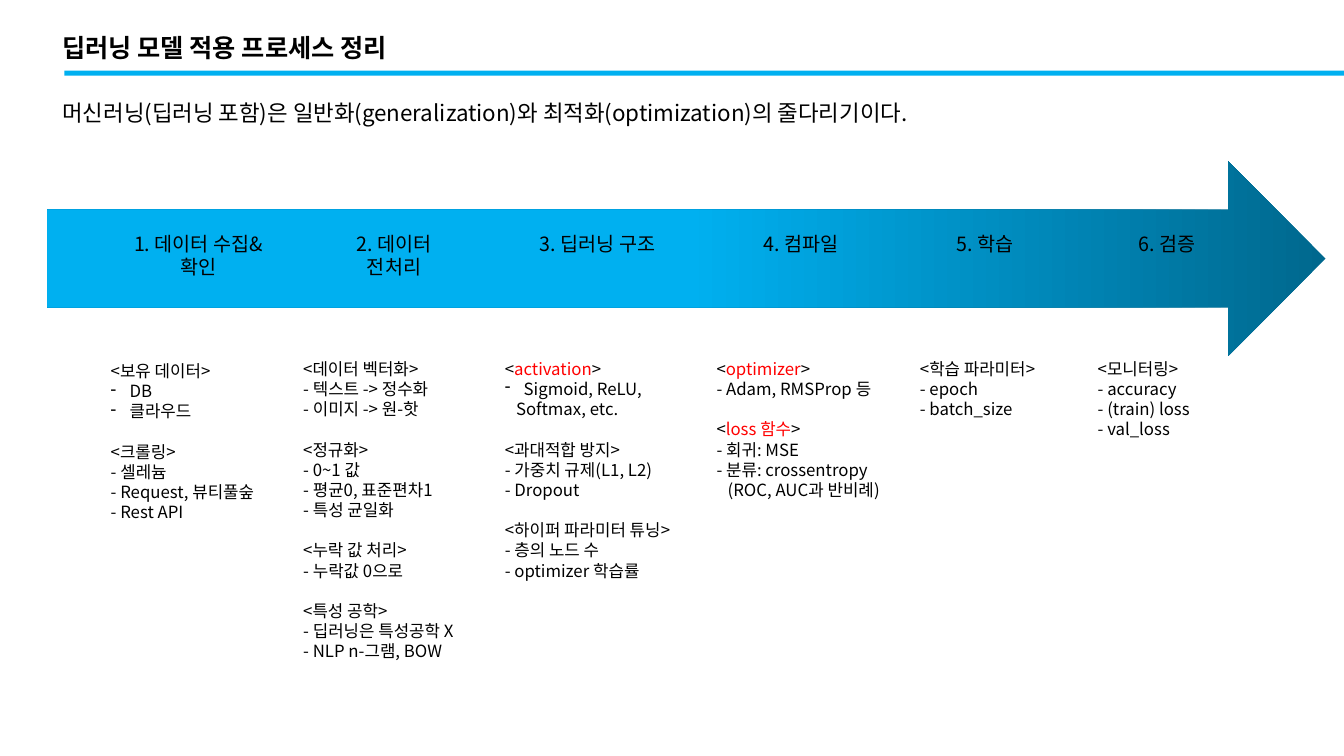
from dataclasses import dataclass

from lxml import etree
from pptx import Presentation
from pptx.dml.color import RGBColor
from pptx.enum.shapes import MSO_SHAPE
from pptx.enum.text import MSO_ANCHOR, MSO_AUTO_SIZE, PP_ALIGN
from pptx.oxml.ns import qn
from pptx.util import Pt

LEFT, CENTER = PP_ALIGN.LEFT, PP_ALIGN.CENTER
TOP = MSO_ANCHOR.TOP
NO_AUTO_SIZE = MSO_AUTO_SIZE.NONE
RECTANGLE, RIGHT_ARROW = MSO_SHAPE.RECTANGLE, MSO_SHAPE.RIGHT_ARROW


@dataclass(frozen=True)
class Theme:
    font: str = "Noto Sans CJK KR"
    text: RGBColor = RGBColor(0x00, 0x00, 0x00)
    highlight: RGBColor = RGBColor(0xFF, 0x00, 0x00)
    accent: RGBColor = RGBColor(0x00, 0xB0, 0xF0)
    accent_dark: RGBColor = RGBColor(0x00, 0x68, 0x8E)
    title_size: float = 18
    intro_size: float = 16
    step_size: float = 14
    detail_size: float = 12
    line_spacing: float = 1.2


THEME = Theme()


@dataclass(frozen=True)
class Item:
    text: str
    left: float = 0
    hanging: float = 0
    bullet: str = ""


def bulleted(text):
    return Item(text, left=13.5, hanging=13.5, bullet="-")


def continued(text):
    return Item(text, left=8)


HIGHLIGHTED = {"activation", "optimizer", "loss 함수"}
TITLE = "딥러닝 모델 적용 프로세스 정리"
INTRO = "머신러닝(딥러닝 포함)은 일반화(generalization)와 최적화(optimization)의 줄다리기이다."

# Step label lines with left edge and width
STEPS = [
    (["1. 데이터 수집&", "확인"], 75.6, 132.5),
    (["2. 데이터", "전처리"], 224.6, 113.8),
    (["3. 딥러닝 구조"], 370, 113.8),
    (["4. 컴파일"], 515.5, 113.8),
    (["5. 학습"], 646.5, 113.8),
    (["6. 검증"], 777, 113.8),
]

# Detail columns: left, top, width, then sections of heading and items
DETAILS = [
    (72, 254.2, 142, [
        ("보유 데이터", [bulleted("DB"), bulleted("클라우드")]),
        ("크롤링", [Item("- 셀레늄"), Item("- Request, 뷰티풀숲"), Item("- Rest API")]),
    ]),
    (209.5, 252.7, 159, [
        ("데이터 벡터화", [Item("- 텍스트 -> 정수화"), Item("- 이미지 -> 원-핫")]),
        ("정규화", [Item("- 0~1 값"), Item("- 평균0, 표준편차1"), Item("- 특성 균일화")]),
        ("누락 값 처리", [Item("- 누락값 0으로")]),
        ("특성 공학", [Item("- 딥러닝은 특성공학 X"), Item("- NLP n-그램, BOW")]),
    ]),
    (353.5, 252.7, 159, [
        ("activation", [bulleted("Sigmoid, ReLU,"), continued("Softmax, etc.")]),
        ("과대적합 방지", [Item("- 가중치 규제(L1, L2)"), Item("- Dropout")]),
        ("하이퍼 파라미터 튜닝", [Item("- 층의 노드 수"), Item("- optimizer 학습률")]),
    ]),
    (504.7, 252.7, 159, [
        ("optimizer", [Item("- Adam, RMSProp 등")]),
        ("loss 함수", [Item("- 회귀: MSE"), Item("- 분류: crossentropy"),
                     continued("(ROC, AUC과 반비례)")]),
    ]),
    (650, 252.7, 159, [
        ("학습 파라미터", [Item("- epoch"), Item("- batch_size")]),
    ]),
    (777, 252.7, 113.8, [
        ("모니터링", [Item("- accuracy"), Item("- (train) loss"), Item("- val_loss")]),
    ]),
]


def add_run(paragraph, text, *, size, color=THEME.text, bold=False):
    run = paragraph.add_run()
    run.text = text
    run.font.name = THEME.font
    run.font.size = Pt(size)
    run.font.bold = bold
    run.font.color.rgb = color
    east_asian = etree.SubElement(run.font._element, qn("a:ea"))
    east_asian.set("typeface", THEME.font)


def format_paragraph(paragraph, *, size, align=LEFT, before=0, left=0, hanging=0, bullet=""):
    paragraph.alignment = align
    paragraph.line_spacing = Pt(size * THEME.line_spacing)
    paragraph.space_before = Pt(before)
    paragraph.space_after = Pt(0)
    properties = paragraph._p.get_or_add_pPr()
    properties.set("marL", str(Pt(left)))
    properties.set("indent", str(-Pt(hanging)))
    if bullet:
        etree.SubElement(properties, qn("a:buChar")).set("char", bullet)
    else:
        etree.SubElement(properties, qn("a:buNone"))


def prepare_frame(shape):
    frame = shape.text_frame
    frame.word_wrap = True
    frame.auto_size = NO_AUTO_SIZE
    frame.vertical_anchor = TOP
    return frame


def next_paragraph(frame):
    first = frame.paragraphs[0]
    return frame.add_paragraph() if first.runs else first


def write_lines(shape, lines, *, size, align=LEFT, bold=False):
    frame = prepare_frame(shape)
    for line in lines:
        paragraph = next_paragraph(frame)
        format_paragraph(paragraph, size=size, align=align)
        add_run(paragraph, line, size=size, bold=bold)


def place(shape, left, top, width, height):
    shape.left, shape.top = Pt(left), Pt(top)
    shape.width, shape.height = Pt(width), Pt(height)


def add_box(slide, left, top, width, height):
    return slide.shapes.add_textbox(Pt(left), Pt(top), Pt(width), Pt(height))


def add_plain_shape(slide, kind, left, top, width, height):
    shape = slide.shapes.add_shape(kind, Pt(left), Pt(top), Pt(width), Pt(height))
    shape.shadow.inherit = False
    shape.line.fill.background()
    return shape


def add_rule(slide):
    rule = add_plain_shape(slide, RECTANGLE, 46, 50.4, 914, 3.6)
    rule.fill.solid()
    rule.fill.fore_color.rgb = THEME.accent


def add_process_arrow(slide):
    arrow = add_plain_shape(slide, RIGHT_ARROW, 33.8, 115.2, 913, 139)
    arrow.fill.gradient()
    arrow.fill.gradient_angle = 180
    stops = [(0, THEME.accent_dark), (0.5, THEME.accent)]
    for stop, (position, color) in zip(arrow.fill.gradient_stops, stops):
        stop.position = position
        stop.color.rgb = color


def add_heading(paragraph, name):
    size = THEME.detail_size
    if name in HIGHLIGHTED:
        add_run(paragraph, "<", size=size)
        add_run(paragraph, name, size=size, color=THEME.highlight)
        add_run(paragraph, ">", size=size)
    else:
        add_run(paragraph, f"<{name}>", size=size)


def add_detail_column(slide, left, top, width, sections):
    size = THEME.detail_size
    section_gap = size * THEME.line_spacing
    line_count = sum(len(items) + 2 for _, items in sections) - 1
    box = add_box(slide, left, top, width, line_count * section_gap + 7.2)
    frame = prepare_frame(box)
    for index, (name, items) in enumerate(sections):
        heading = next_paragraph(frame)
        format_paragraph(heading, size=size, before=section_gap if index else 0)
        add_heading(heading, name)
        for item in items:
            paragraph = next_paragraph(frame)
            format_paragraph(paragraph, size=size, left=item.left,
                             hanging=item.hanging, bullet=item.bullet)
            add_run(paragraph, item.text, size=size)


def main():
    presentation = Presentation()
    presentation.slide_width, presentation.slide_height = Pt(960), Pt(540)
    slide = presentation.slides.add_slide(presentation.slide_layouts[1])

    # Title and introduction
    title, intro = slide.placeholders
    place(title, 37.4, 19.4, 435, 29)
    write_lines(title, [TITLE], size=THEME.title_size, bold=True)
    place(intro, 37.4, 67, 664.6, 26.6)
    write_lines(intro, [INTRO], size=THEME.intro_size)
    add_rule(slide)

    # Process arrow with its steps
    add_process_arrow(slide)
    for lines, left, width in STEPS:
        height = len(lines) * THEME.step_size * THEME.line_spacing + 7.2
        write_lines(add_box(slide, left, 162, width, height), lines,
                    size=THEME.step_size, align=CENTER)

    # Details below the steps
    for column in DETAILS:
        add_detail_column(slide, *column)

    presentation.save("out.pptx")


if __name__ == "__main__":
    main()
